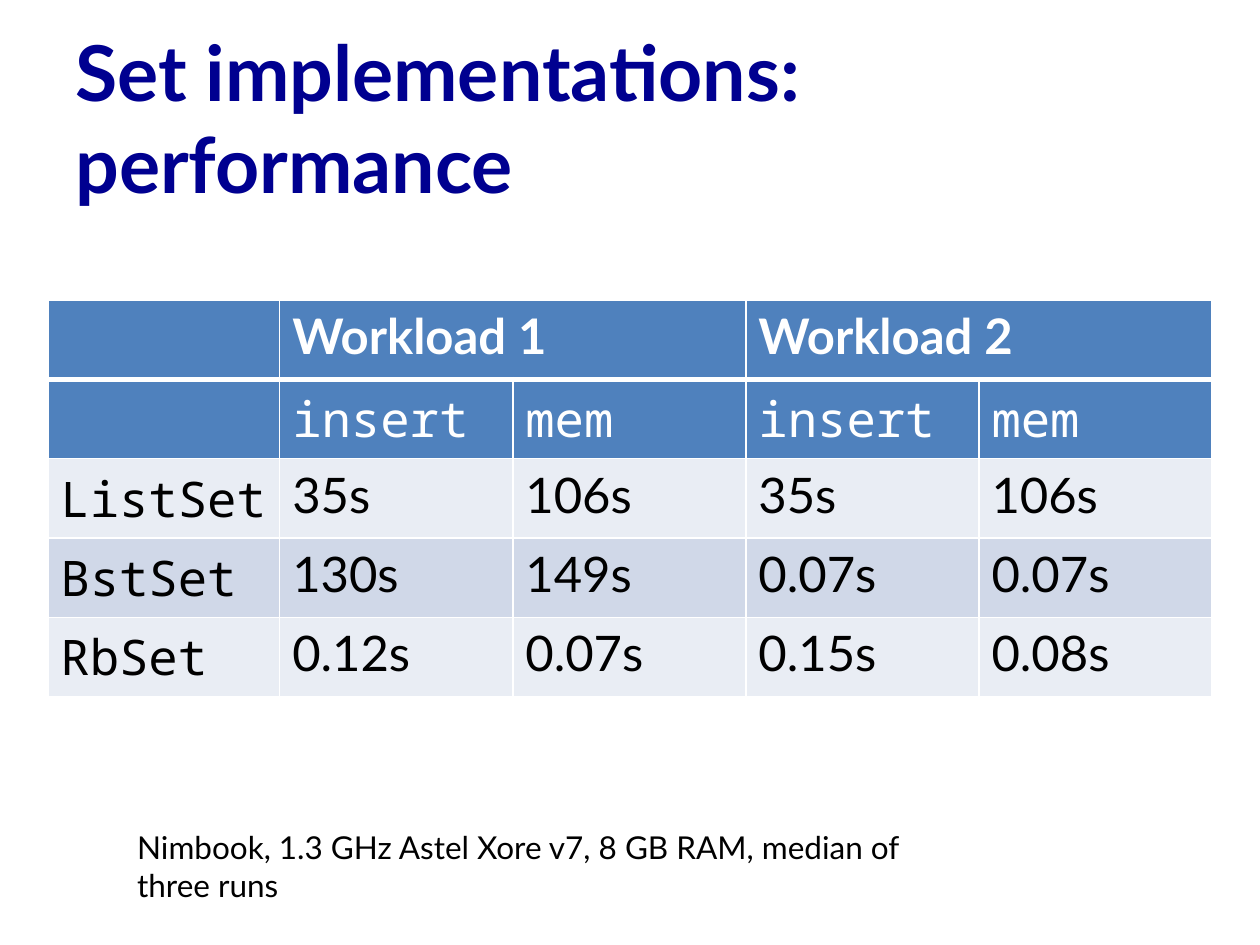
import pptx
import pptx.dml.color
import pptx.enum.text
import pptx.oxml
import pptx.oxml.ns
import pptx.util

COLORS = {"title": "000090", "head": "4F81BD", "odd": "E9EDF4",
          "even": "D0D8E8", "light": "FFFFFF", "dark": "000000"}
SANS, MONO = "Lato", "Noto Sans Mono"
WIDTH, HEIGHT = 10, 7.5
ROW_HEIGHT = 0.63
COL_WIDTHS = [1.84] + [1.85] * 4
ROWS = [
    ["", "Workload 1", "", "Workload 2", ""],
    ["", "insert", "mem", "insert", "mem"],
    ["ListSet", "35s", "106s", "35s", "106s"],
    ["BstSet", "130s", "149s", "0.07s", "0.07s"],
    ["RbSet", "0.12s", "0.07s", "0.15s", "0.08s"],
]


def rgb(name):
    return pptx.dml.color.RGBColor.from_string(COLORS[name])


def write(tf, text, size, color, name=SANS, bold=False):
    r = tf.paragraphs[0].add_run()
    r.text = text
    fmt = {"size": pptx.util.Pt(size), "name": name, "bold": bold}
    for key, value in fmt.items():
        setattr(r.font, key, value)
    r.font.color.rgb = rgb(color)


def add_text(s, box, text, size, color, bold=False, anchor="TOP"):
    sp = s.shapes.add_textbox(*map(pptx.util.Inches, box))
    tf = sp.text_frame
    fmt = {"word_wrap": True,
           "vertical_anchor": pptx.enum.text.MSO_ANCHOR[anchor]}
    for key, value in fmt.items():
        setattr(tf, key, value)
    write(tf, text, size, color, bold=bold)


def set_borders(cell, widths):
    ns = pptx.oxml.ns.nsdecls("a")
    tcPr = cell._tc.get_or_add_tcPr()
    for i, (side, width) in enumerate(widths.items()):
        tcPr.insert(i, pptx.oxml.parse_xml(
            f'<a:ln{side} {ns} w="{pptx.util.Pt(width)}"><a:solidFill>'
            f'<a:srgbClr val="{COLORS["light"]}"/></a:solidFill></a:ln{side}>'))


def add_results(s, left, top):
    box = (left, top, sum(COL_WIDTHS), ROW_HEIGHT * len(ROWS))
    table = s.shapes.add_table(len(ROWS), len(COL_WIDTHS),
                               *map(pptx.util.Inches, box)).table
    for col, width in zip(table.columns, COL_WIDTHS):
        col.width = pptx.util.Inches(width)
    for i, row in enumerate(ROWS):
        head = i < 2
        fill = "head" if head else ("odd", "even")[i % 2]
        widths = {"L": 1, "R": 1, "T": 3 if i == 1 else 1,
                  "B": 3 if i == 0 else 1}
        for j, text in enumerate(row):
            cell = table.cell(i, j)
            cell.fill.solid()
            cell.fill.fore_color.rgb = rgb(fill)
            set_borders(cell, widths)
            if text:
                mono = i == 1 or j == 0
                write(cell.text_frame, text, 28, "light" if head else "dark",
                      MONO if mono else SANS, i == 0)
    for j in (1, 3):
        table.cell(0, j).merge(table.cell(0, j + 1))


def main():
    prs = pptx.Presentation()
    prs.slide_width = pptx.util.Inches(WIDTH)
    prs.slide_height = pptx.util.Inches(HEIGHT)
    s = prs.slides.add_slide(prs.slide_layouts[6])
    add_text(s, (0.05 * WIDTH, 0.04 * HEIGHT, 0.9 * WIDTH, 1.25),
             "Set implementations: performance", 44, "title", True, "MIDDLE")
    add_results(s, 0.38, 2.38)
    add_text(s, (0.99, 0.87 * HEIGHT, 6.61, 0.4),
             "Nimbook, 1.3 GHz Astel Xore v7, 8 GB RAM, median of three runs",
             18, "dark")
    prs.save("out.pptx")


if __name__ == "__main__":
    main()
